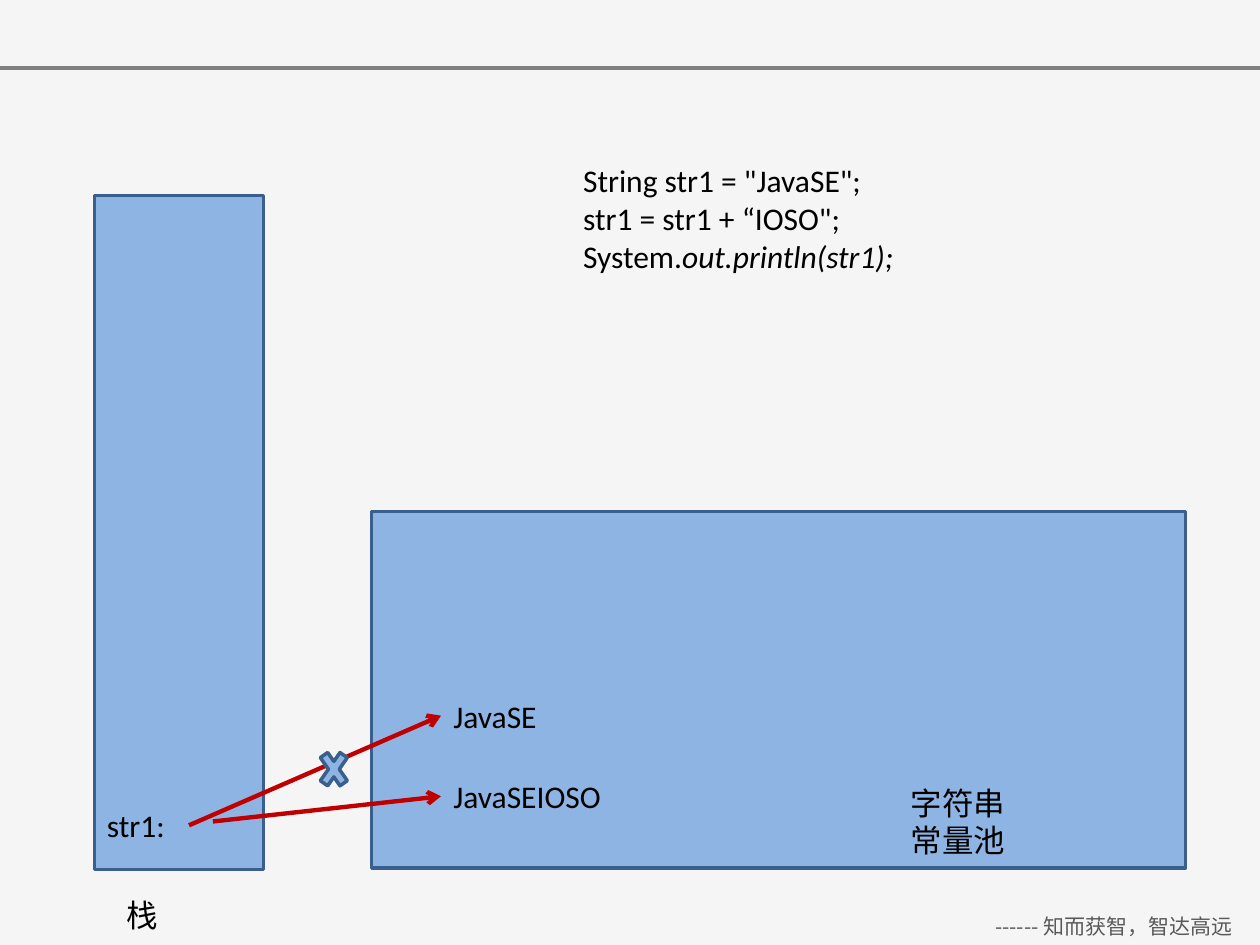
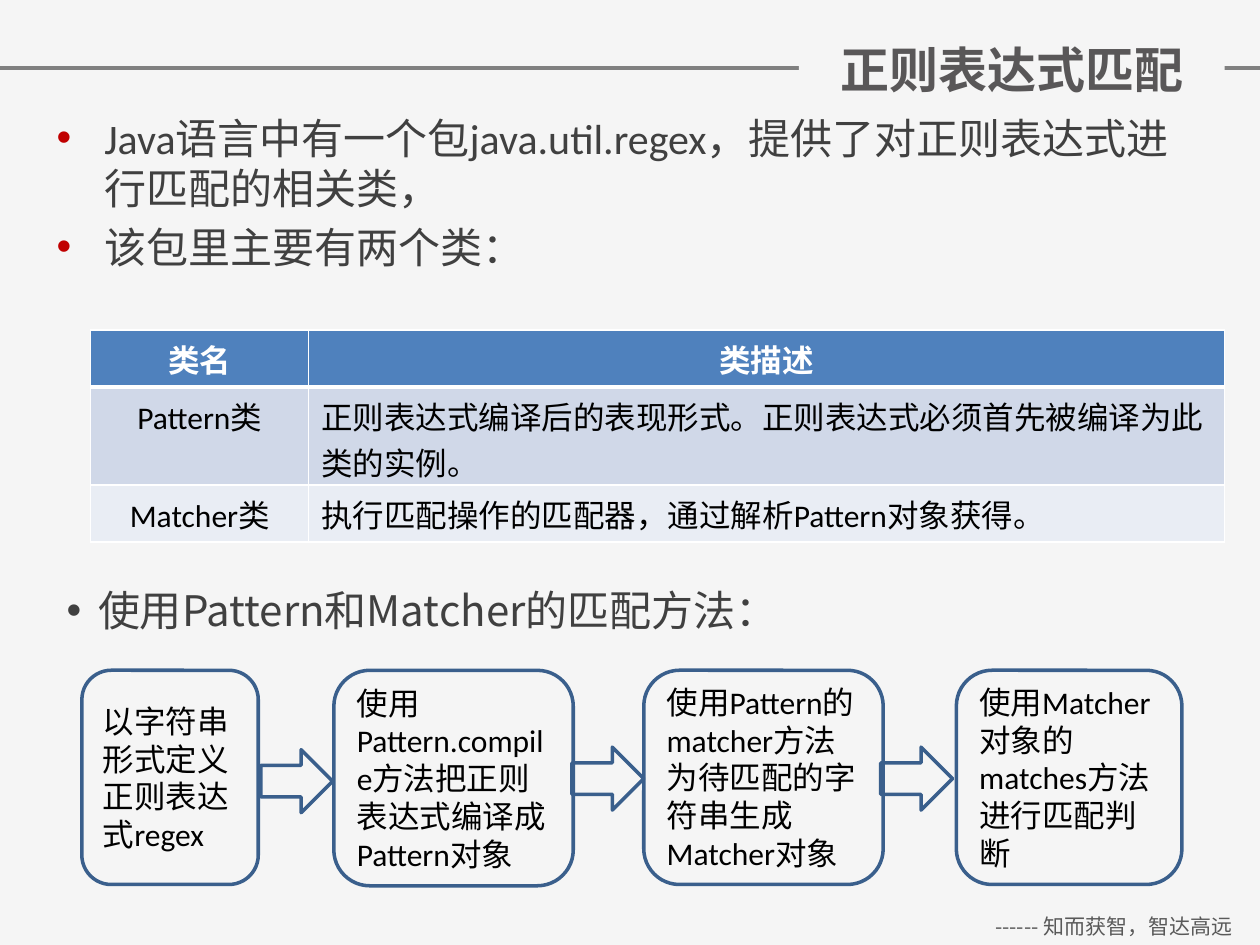
from dataclasses import dataclass
from typing import NamedTuple

from lxml.etree import SubElement
from pptx import Presentation
from pptx.dml.color import RGBColor
from pptx.enum.shapes import MSO_CONNECTOR, MSO_SHAPE
from pptx.enum.text import MSO_ANCHOR, PP_ALIGN
from pptx.oxml import parse_xml
from pptx.oxml.ns import nsdecls, qn
from pptx.util import Inches, Pt


@dataclass(frozen=True)
class Theme:
    """Colours, fonts and sizes that the slides share."""
    background: str = "F5F5F5"
    rule: str = "808080"
    footer: str = "595959"
    title: str = "595758"
    body: str = "404040"
    ink: str = "000000"
    white: str = "FFFFFF"
    memory: str = "8EB4E3"
    outline: str = "3A5F8C"
    accent: str = "C00000"
    header: str = "4F81BD"
    bands: tuple[str, str] = ("D0D8E8", "E9EDF4")
    latin: str = "Calibri"
    chinese: str = "Noto Sans CJK SC"
    title_size: int = 28
    body_size: int = 24
    text_size: int = 18
    footer_size: int = 12


THEME = Theme()


class Box(NamedTuple):
    """Left, top, width and height in inches."""
    left: float
    top: float
    width: float
    height: float


class Span(NamedTuple):
    """A piece of a paragraph, upright or italic."""
    text: str
    italic: bool = False


class Label(NamedTuple):
    """A short text and its place."""
    text: str
    box: Box


class Pointer(NamedTuple):
    """Start and end of a reference arrow in inches."""
    start: tuple[float, float]
    end: tuple[float, float]


class Step(NamedTuple):
    """A step of the matching process."""
    text: str
    left: float
    width: float
    height: float = 1.7


LABELS = (
    Label("栈", Box(0.91, 7.06, 1.1, 0.4)),
    Label("字符串常量池", Box(7.13, 6.17, 1.1, 0.71)),
    Label("str1:", Box(0.75, 6.35, 1.5, 0.4)),
    Label("JavaSE", Box(3.5, 5.48, 1.1, 0.4)),
    Label("JavaSEIOSO", Box(3.5, 6.12, 2.13, 0.4)),
)
POINTERS = (
    Pointer((1.5, 6.55), (3.5, 5.68)),
    Pointer((1.69, 6.52), (3.5, 6.32)),
)
CODE = (
    'String str1 = "JavaSE";',
    'str1 = str1 + “IOSO";',
    (Span("System."), Span("out.println(str1);", italic=True)),
)
CLASS_ROWS = (
    ("类名", "类描述"),
    ("Pattern类", "正则表达式编译后的表现形式。正则表达式必须首先被编译为此类的实例。"),
    ("Matcher类", "执行匹配操作的匹配器，通过解析Pattern对象获得。"),
)
STEPS = (
    Step("以字符串形式定义正则表达式regex", 0.65, 1.4),
    Step("使用Pattern.compile方法把正则表达式编译成Pattern对象", 2.65, 1.9, 1.71),
    Step("使用Pattern的matcher方法为待匹配的字符串生成Matcher对象", 5.11, 1.9),
    Step("使用Matcher对象的matches方法进行匹配判断", 7.59, 1.79),
)
STEP_ARROWS = ((2.07, 5.95), (4.54, 5.93), (6.99, 5.93))


def rgb(value: str) -> RGBColor:
    """Turn a hex string into a colour."""
    return RGBColor.from_string(value)


def inches(box: Box) -> tuple:
    """Convert a box to lengths."""
    return tuple(Inches(side) for side in box)


def add_bullet(paragraph, indent: float, color: str) -> None:
    """Give a paragraph a hanging round bullet."""
    properties = paragraph._p.get_or_add_pPr()
    properties.set("marL", str(Inches(indent)))
    properties.set("indent", str(-Inches(indent)))
    bullet_color = SubElement(properties, qn("a:buClr"))
    SubElement(bullet_color, qn("a:srgbClr")).set("val", color)
    SubElement(properties, qn("a:buFont")).set("typeface", "Arial")
    SubElement(properties, qn("a:buChar")).set("char", "•")


def write_text(frame, *paragraphs, size: int = THEME.text_size, color: str = THEME.ink,
               font: str = THEME.latin, asian: str | None = None, bold: bool = False,
               align=PP_ALIGN.LEFT, anchor=MSO_ANCHOR.TOP, bullet_indent: float = 0,
               bullet_color: str = THEME.accent, space_before: float = 0,
               line_spacing: float | None = None) -> None:
    """Fill a text frame with formatted paragraphs."""
    frame.word_wrap = True
    frame.vertical_anchor = anchor
    for index, content in enumerate(paragraphs):
        paragraph = frame.add_paragraph() if index else frame.paragraphs[0]
        paragraph.alignment = align
        if line_spacing:
            paragraph.line_spacing = line_spacing
        if index and space_before:
            paragraph.space_before = Pt(space_before)
        if bullet_indent:
            add_bullet(paragraph, bullet_indent, bullet_color)
        for span in (Span(content),) if isinstance(content, str) else content:
            run = paragraph.add_run()
            run.text = span.text
            run.font.size = Pt(size)
            run.font.bold = bold
            run.font.italic = span.italic
            run.font.color.rgb = rgb(color)
            run.font.name = font
            latin = run._r.rPr.find(qn("a:latin"))
            latin.addnext(parse_xml(f'<a:ea {nsdecls("a")} typeface="{asian or font}"/>'))


def add_text(slide, box: Box, *paragraphs, **text_format):
    """Add a text box."""
    text_box = slide.shapes.add_textbox(*inches(box))
    write_text(text_box.text_frame, *paragraphs, **text_format)
    return text_box


def add_outlined(slide, preset: MSO_SHAPE, box: Box, fill: str | None = None):
    """Add a preset shape with the shared outline."""
    shape = slide.shapes.add_shape(preset, *inches(box))
    shape.shadow.inherit = False
    if fill:
        shape.fill.solid()
        shape.fill.fore_color.rgb = rgb(fill)
    else:
        shape.fill.background()
    shape.line.color.rgb = rgb(THEME.outline)
    shape.line.width = Pt(2)
    return shape


def add_line(slide, start: tuple[float, float], end: tuple[float, float],
             color: str, width: float, arrow: bool = False) -> None:
    """Add a straight line, with an arrowhead if asked."""
    line = slide.shapes.add_connector(
        MSO_CONNECTOR.STRAIGHT, *(Inches(value) for value in (*start, *end)))
    line.line.color.rgb = rgb(color)
    line.line.width = Pt(width)
    properties = line._element.spPr
    if arrow:
        SubElement(properties.find(qn("a:ln")), qn("a:tailEnd")).set("type", "arrow")
    SubElement(properties, qn("a:effectLst"))


def add_base_slide(deck):
    """Add a slide with the shared background, rule and footer."""
    slide = deck.slides.add_slide(deck.slide_layouts[6])
    slide.background.fill.solid()
    slide.background.fill.fore_color.rgb = rgb(THEME.background)
    add_line(slide, (0, 0.54), (10, 0.54), THEME.rule, 2)
    add_text(slide, Box(7.68, 7.2, 2.32, 0.3), "------ 知而获智，智达高远",
             size=THEME.footer_size, color=THEME.footer, font=THEME.chinese,
             align=PP_ALIGN.CENTER)
    return slide


def add_title(slide, title: str) -> None:
    """Add a title that interrupts the top rule."""
    title_box = add_text(slide, Box(6.34, 0.03, 3.38, 1.04), title, size=THEME.title_size,
                         color=THEME.title, font=THEME.chinese, bold=True,
                         align=PP_ALIGN.CENTER, anchor=MSO_ANCHOR.MIDDLE)
    title_box.fill.solid()
    title_box.fill.fore_color.rgb = rgb(THEME.background)


def add_borders(cell, top: float = 1, bottom: float = 1) -> None:
    """Draw white borders around a table cell."""
    properties = cell._tc.get_or_add_tcPr()
    sides = (("lnL", 1), ("lnR", 1), ("lnT", top), ("lnB", bottom))
    for index, (side, width) in enumerate(sides):
        properties.insert(index, parse_xml(
            f'<a:{side} {nsdecls("a")} w="{Pt(width)}"><a:solidFill>'
            f'<a:srgbClr val="{THEME.white}"/></a:solidFill></a:{side}>'))


def add_class_table(slide) -> None:
    """Add the table of the two regex classes."""
    table = slide.shapes.add_table(3, 2, *inches(Box(0.72, 2.62, 9, 1.68))).table
    for column, width in zip(table.columns, (1.73, 7.27)):
        column.width = Inches(width)
    for row, height in zip(table.rows, (0.45, 0.78, 0.45)):
        row.height = Inches(height)
    for row_index, (row, fill) in enumerate(zip(CLASS_ROWS, (THEME.header, *THEME.bands))):
        is_header = row_index == 0
        for column_index, text in enumerate(row):
            cell = table.cell(row_index, column_index)
            cell.fill.solid()
            cell.fill.fore_color.rgb = rgb(fill)
            add_borders(cell, top=3 if row_index == 1 else 1, bottom=3 if is_header else 1)
            centred = is_header or column_index == 0
            write_text(cell.text_frame, text, asian=THEME.chinese, bold=is_header,
                       color=THEME.white if is_header else THEME.ink,
                       align=PP_ALIGN.CENTER if centred else PP_ALIGN.LEFT)


def build_memory_slide(deck) -> None:
    """Show how a string variable moves to a new constant."""
    slide = add_base_slide(deck)
    add_text(slide, Box(4.53, 1.23, 5, 1.01), *CODE)
    for area in (Box(0.75, 1.55, 1.34, 5.35), Box(2.95, 4.06, 6.46, 2.83)):
        add_outlined(slide, MSO_SHAPE.RECTANGLE, area, THEME.memory)
    for label in LABELS:
        add_text(slide, label.box, label.text)
    for pointer in POINTERS:
        add_line(slide, pointer.start, pointer.end, THEME.accent, 2.5, arrow=True)
    add_outlined(slide, MSO_SHAPE.MATH_MULTIPLY, Box(2.5, 5.89, 0.3, 0.43), THEME.memory)


def build_regex_slide(deck) -> None:
    """Explain the regex classes and the matching steps."""
    slide = add_base_slide(deck)
    add_title(slide, "正则表达式匹配")
    add_text(slide, Box(0.35, 0.84, 9.35, 2.03),
             "Java语言中有一个包java.util.regex，提供了对正则表达式进行匹配的相关类，",
             "该包里主要有两个类：",
             size=THEME.body_size, color=THEME.body, bullet_indent=0.38, space_before=4.8)
    add_class_table(slide)
    add_text(slide, Box(0.43, 4.39, 9.27, 0.62), "使用Pattern和Matcher的匹配方法：",
             size=THEME.body_size, color=THEME.body, font=THEME.chinese,
             bullet_indent=0.25, bullet_color=THEME.body, line_spacing=1.5)
    for step in STEPS:
        box = Box(step.left, 5.32, step.width, step.height)
        card = add_outlined(slide, MSO_SHAPE.ROUNDED_RECTANGLE, box)
        write_text(card.text_frame, step.text, anchor=MSO_ANCHOR.MIDDLE)
    for left, top in STEP_ARROWS:
        add_outlined(slide, MSO_SHAPE.RIGHT_ARROW, Box(left, top, 0.57, 0.5))


def main() -> None:
    """Build and save the deck."""
    deck = Presentation()
    deck.slide_width, deck.slide_height = Inches(10), Inches(7.5)
    build_memory_slide(deck)
    build_regex_slide(deck)
    deck.save("out.pptx")


if __name__ == "__main__":
    main()
